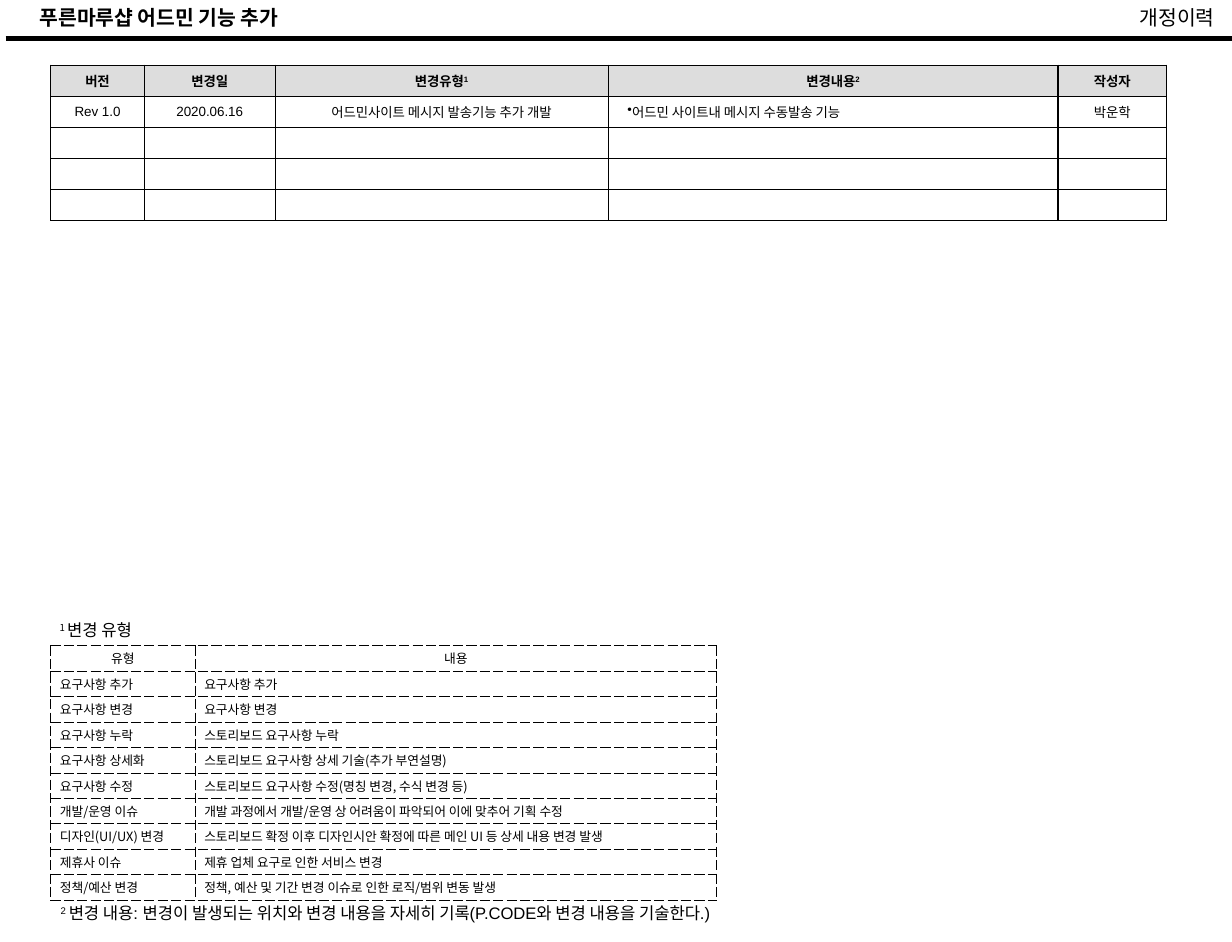
from dataclasses import dataclass
from typing import Optional

from lxml.etree import SubElement
from pptx import Presentation
from pptx.dml.color import RGBColor
from pptx.enum.shapes import MSO_CONNECTOR
from pptx.enum.text import MSO_ANCHOR, PP_ALIGN
from pptx.oxml.ns import qn
from pptx.util import Inches, Pt


@dataclass(frozen=True)
class Theme:
    ink: str = "000000"
    header_fill: str = "DDDDDD"
    latin: str = "Arial"
    korean: str = "Noto Sans CJK KR"
    title: float = 16
    note: float = 13
    history: float = 10.5
    types: float = 10


@dataclass(frozen=True)
class Box:
    """Place on the slide, in percent of its width and height."""
    x: float
    y: float
    w: float
    h: float


@dataclass(frozen=True)
class Label:
    text: str
    box: Box
    size: float
    font: str
    bold: bool = False
    align: PP_ALIGN = PP_ALIGN.LEFT
    pad: tuple[float, float] = (0.1, 0.05)
    wrap: bool = True


@dataclass(frozen=True)
class Grid:
    rows: list[list[str]]
    box: Box
    col_shares: tuple[float, ...]
    size: float
    font: str
    pad: tuple[float, float]
    border: float
    dash: str = "solid"
    header_fill: Optional[str] = None
    left_cols: tuple[int, ...] = ()
    bullet_col: Optional[int] = None


theme = Theme()
prs = Presentation()
prs.slide_width, prs.slide_height = Inches(13.39), Inches(10.24)
slide = prs.slides.add_slide(prs.slide_layouts[6])


def across(pct: float) -> int:
    return round(prs.slide_width * pct / 100)


def down(pct: float) -> int:
    return round(prs.slide_height * pct / 100)


def place(box: Box) -> tuple[int, int, int, int]:
    return across(box.x), down(box.y), across(box.w), down(box.h)


def write(p, text: str, *, size: float, font: str, bold: bool = False,
          align: PP_ALIGN = PP_ALIGN.LEFT) -> None:
    """Fill a paragraph; text between carets is superscript."""
    p.alignment = align
    for i, part in enumerate(text.split("^")):
        if not part:
            continue
        r = p.add_run()
        r.text = part
        r.font.size, r.font.bold, r.font.name = Pt(size), bold, font
        r.font.color.rgb = RGBColor.from_string(theme.ink)
        rPr = r.font._element
        SubElement(rPr, qn("a:ea")).set("typeface", theme.korean)
        if i % 2:
            rPr.set("baseline", "30000")
    if not text:
        SubElement(p._p, qn("a:endParaRPr")).set("sz", str(round(size * 100)))


def set_pads(obj, pad: tuple[float, float]) -> None:
    obj.margin_left = obj.margin_right = Inches(pad[0])
    obj.margin_top = obj.margin_bottom = Inches(pad[1])


def add_label(label: Label) -> None:
    tf = slide.shapes.add_textbox(*place(label.box)).text_frame
    tf.word_wrap = label.wrap
    set_pads(tf, label.pad)
    write(tf.paragraphs[0], label.text, size=label.size, font=label.font,
          bold=label.bold, align=label.align)


def set_borders(cell, width: float, dash: str) -> None:
    tcPr = cell._tc.get_or_add_tcPr()
    for i, side in enumerate(("lnL", "lnR", "lnT", "lnB")):
        ln = tcPr.makeelement(qn(f"a:{side}"), {"w": str(Pt(width))})
        tcPr.insert(i, ln)
        fill = SubElement(ln, qn("a:solidFill"))
        SubElement(fill, qn("a:srgbClr")).set("val", theme.ink)
        SubElement(ln, qn("a:prstDash")).set("val", dash)


def add_bullet(p) -> None:
    pPr = p._p.get_or_add_pPr()
    pPr.set("marL", "0")
    pPr.set("indent", str(Inches(0.09)))
    SubElement(pPr, qn("a:buChar")).set("char", "•")


def add_grid(grid: Grid) -> None:
    n_rows, n_cols = len(grid.rows), len(grid.col_shares)
    table = slide.shapes.add_table(n_rows, n_cols, *place(grid.box)).table
    for col, share in zip(table.columns, grid.col_shares):
        col.width = round(across(grid.box.w) * share / sum(grid.col_shares))
    for i, texts in enumerate(grid.rows):
        table.rows[i].height = down(grid.box.h / n_rows)
        for j, text in enumerate(texts):
            cell = table.cell(i, j)
            header = i == 0
            if header and grid.header_fill:
                cell.fill.solid()
                cell.fill.fore_color.rgb = RGBColor.from_string(grid.header_fill)
            else:
                cell.fill.background()
            cell.vertical_anchor = MSO_ANCHOR.MIDDLE
            set_pads(cell, grid.pad)
            set_borders(cell, grid.border, grid.dash)
            left = not header and j in grid.left_cols
            p = cell.text_frame.paragraphs[0]
            write(p, text, size=grid.size, font=grid.font,
                  bold=header and grid.header_fill is not None,
                  align=PP_ALIGN.LEFT if left else PP_ALIGN.CENTER)
            if text and not header and j == grid.bullet_col:
                add_bullet(p)


# Heading and rule
add_label(Label("푸른마루샵 어드민 기능 추가", Box(1.94, 0.1, 47.5, 4.3), theme.title,
                theme.latin, bold=True, pad=(0.17, 0.05)))
add_label(Label("개정이력", Box(64.6, 0.1, 34.73, 3.03), theme.title,
                theme.korean, align=PP_ALIGN.RIGHT))
rule = slide.shapes.add_connector(MSO_CONNECTOR.STRAIGHT, across(0.45), down(4.1),
                                  across(100), down(4.1))
rule.line.width = Pt(4.5)
rule.line.color.rgb = RGBColor.from_string(theme.ink)
SubElement(rule._element.spPr, qn("a:effectLst"))

# Revision history
add_grid(Grid(
    rows=[
        ["버전", "변경일", "변경유형^1", "변경내용^2", "작성자"],
        ["Rev 1.0", "2020.06.16", "어드민사이트 메시지 발송기능 추가 개발",
         "어드민 사이트내 메시지 수동발송 기능", "박운학"],
        *[[""] * 5 for _ in range(3)],
    ],
    box=Box(4.11, 6.93, 90.59, 16.5), col_shares=(1.02, 1.42, 3.62, 4.89, 1.18),
    size=theme.history, font=theme.latin, pad=(0.12, 0.06), border=1,
    header_fill=theme.header_fill, left_cols=(3,), bullet_col=3))

# Change types and footnotes
add_label(Label("^1 ^변경 유형", Box(4.11, 65.33, 8.44, 3.13), theme.note,
                theme.korean, wrap=False))
add_grid(Grid(
    rows=[
        ["유형", "내용"],
        ["요구사항 추가", "요구사항 추가"],
        ["요구사항 변경", "요구사항 변경"],
        ["요구사항 누락", "스토리보드 요구사항 누락"],
        ["요구사항 상세화", "스토리보드 요구사항 상세 기술(추가 부연설명)"],
        ["요구사항 수정", "스토리보드 요구사항 수정(명칭 변경, 수식 변경 등)"],
        ["개발/운영 이슈", "개발 과정에서 개발/운영 상 어려움이 파악되어 이에 맞추어 기획 수정"],
        ["디자인(UI/UX) 변경",
         "스토리보드 확정 이후 디자인시안 확정에 따른 메인 UI 등 상세 내용 변경 발생"],
        ["제휴사 이슈", "제휴 업체 요구로 인한 서비스 변경"],
        ["정책/예산 변경", "정책, 예산 및 기간 변경 이슈로 인한 로직/범위 변동 발생"],
    ],
    box=Box(4.11, 68.55, 54.07, 27), col_shares=(1.57, 5.67),
    size=theme.types, font=theme.korean, pad=(0.1, 0.03), border=0.5,
    dash="sysDash", left_cols=(0, 1)))
add_label(Label("^2 ^변경 내용: 변경이 발생되는 위치와 변경 내용을 자세히 기록"
                "(P.CODE와 변경 내용을 기술한다.)",
                Box(3.66, 95.02, 62.81, 3.81), theme.note, theme.latin,
                pad=(0.17, 0.08), wrap=False))

prs.save("out.pptx")
